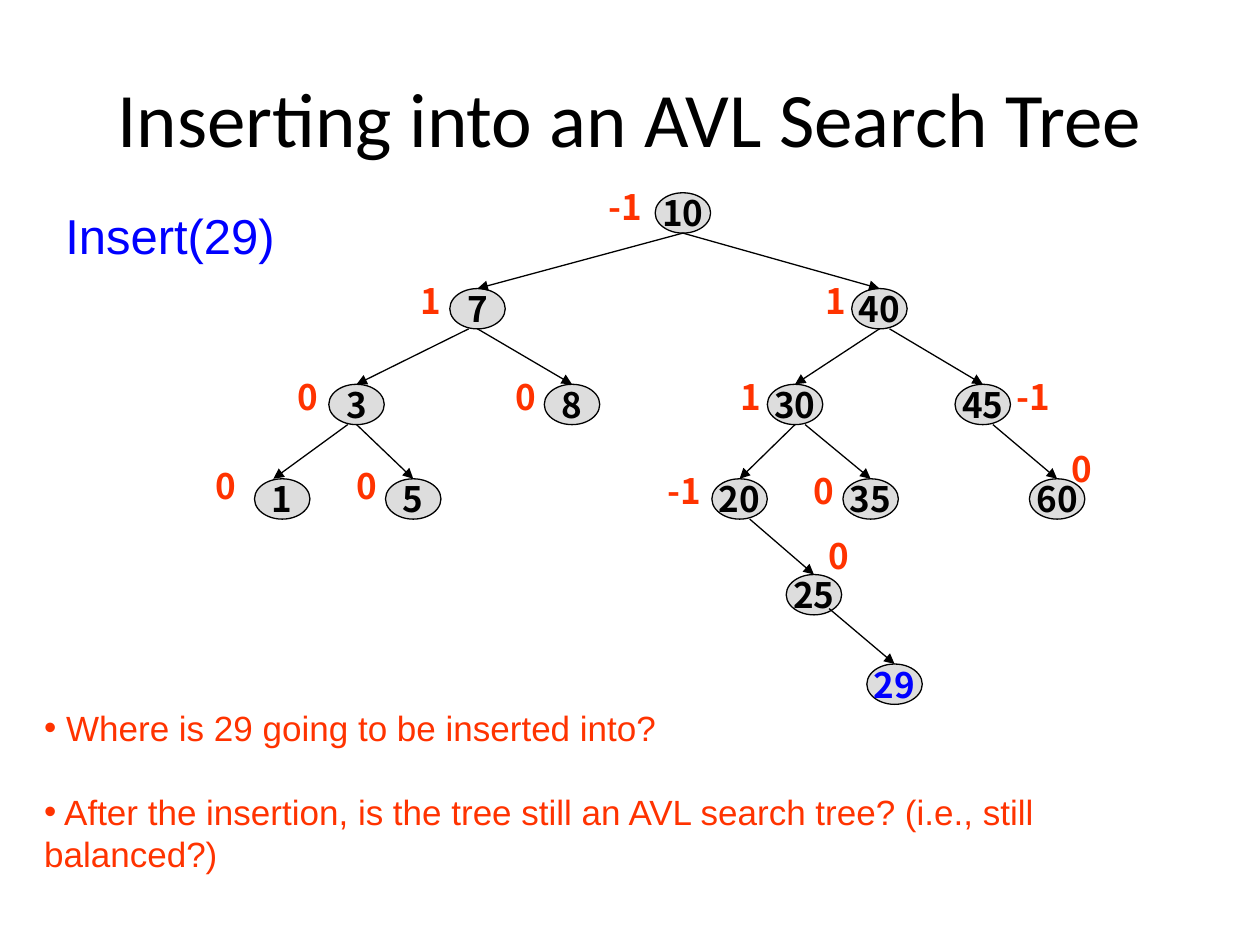
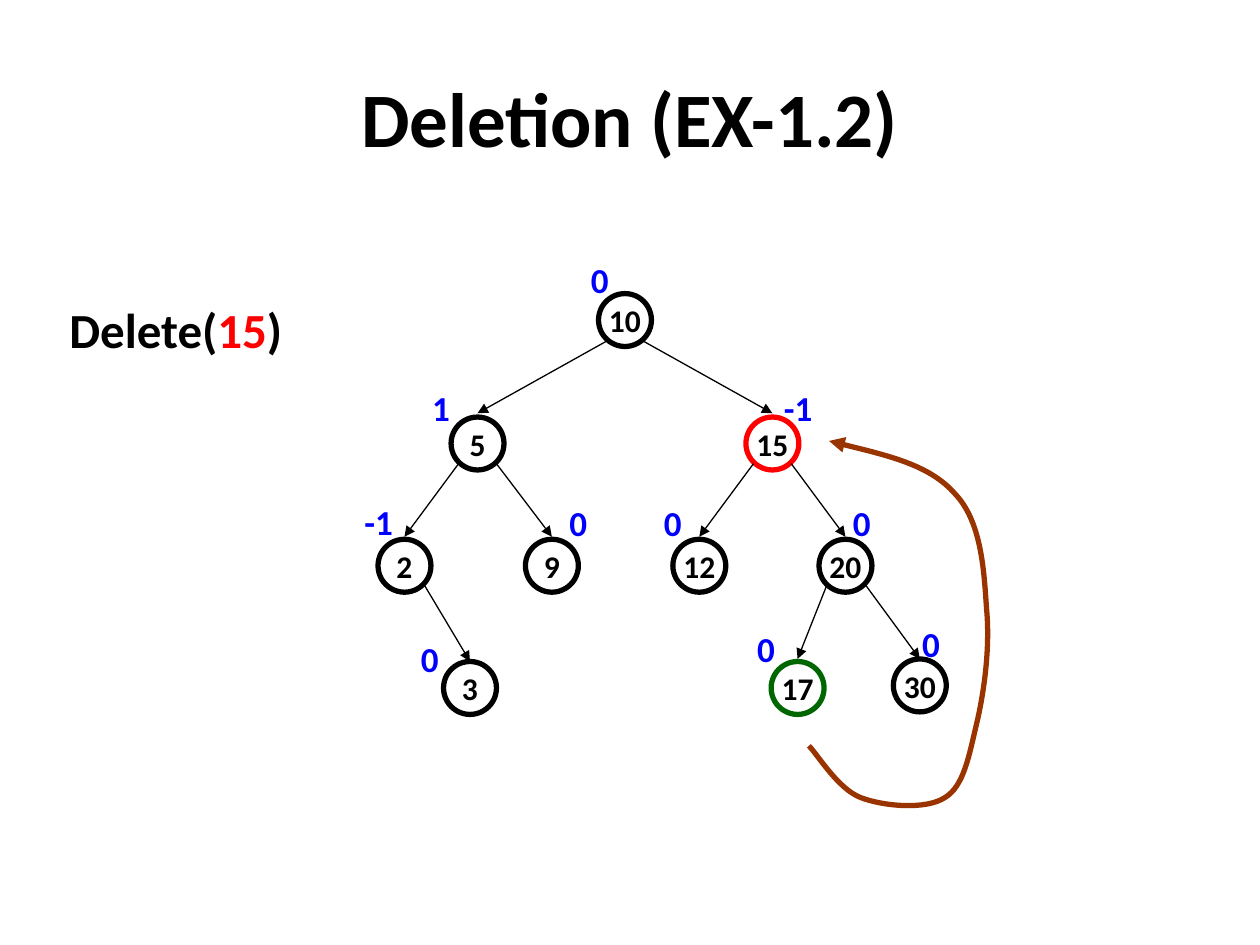
from dataclasses import dataclass
from lxml.etree import SubElement
from pptx import Presentation
from pptx.dml.color import RGBColor
from pptx.enum.shapes import MSO_CONNECTOR, MSO_SHAPE
from pptx.enum.text import MSO_ANCHOR, MSO_AUTO_SIZE, PP_ALIGN
from pptx.oxml.ns import qn
from pptx.util import Pt

PIXEL = 9144
BLACK, BLUE, RED = "000000", "0000FF", "FF0000"
ORANGE, GREEN, BROWN, GRAY = "FF3300", "006600", "993300", "DDDDDD"


@dataclass
class TreeStyle:
    font: str
    node_size: int
    node_width: int
    node_height: int
    node_fill: str
    node_line: float
    balance_color: str
    balance_align: PP_ALIGN
    balance_widths: tuple
    balance_height: int


INSERT_TREE = TreeStyle("Noto Sans CJK KR", 20, 44, 32, GRAY, 0.75,
                        ORANGE, PP_ALIGN.LEFT, (36, 53), 43)
DELETE_TREE = TreeStyle("Calibri", 18, 42, 42, "", 3,
                        BLUE, PP_ALIGN.CENTER, (34, 43), 44)

# label, left, top, balance factor, its left and top
INSERT_NODES = [
    ("10", 520, 153, "-1", 473, 142),
    ("7", 357, 229, "1", 324, 217),
    ("40", 676, 229, "1", 645, 217),
    ("3", 261, 305, "0", 226, 293),
    ("8", 432, 305, "0", 399, 293),
    ("30", 609, 305, "1", 578, 293),
    ("45", 758, 305, "-1", 797, 293),
    ("1", 202, 380, "0", 161, 364),
    ("5", 306, 380, "0", 273, 364),
    ("20", 565, 380, "-1", 520, 368),
    ("35", 669, 380, "0", 636, 368),
    ("60", 817, 380, "0", 841, 350),
    ("25", 624, 456, "0", 648, 419),
    ("29", 688, 527, "", 0, 0),
]
# parent, child, start offset from bottom centre, tip offset from top centre
INSERT_EDGES = [
    ("10", "7", (0, 0), (0, 0)),
    ("10", "40", (0, 0), (0, 0)),
    ("7", "3", (-7, 0), (0, 0)),
    ("7", "8", (0, 0), (0, 0)),
    ("40", "30", (0, 0), (0, 0)),
    ("40", "45", (8, 0), (0, 0)),
    ("3", "1", (-7, 0), (-7, 0)),
    ("3", "5", (0, 0), (0, 0)),
    ("30", "20", (0, 0), (0, 0)),
    ("30", "35", (8, 0), (0, 0)),
    ("45", "60", (8, 0), (0, 0)),
    ("20", "25", (8, 0), (0, 0)),
    ("25", "29", (12, -5), (0, 0)),
]
DELETE_NODES = [
    ("10", 475, 233, "0", 459, 200),
    ("5", 358, 331, "1", 333, 302),
    ("15", 592, 331, "-1", 612, 302),
    ("2", 300, 428, "-1", 279, 392),
    ("9", 417, 428, "0", 442, 393),
    ("12", 534, 428, "0", 517, 393),
    ("20", 650, 428, "0", 667, 393),
    ("3", 352, 525, "0", 324, 501),
    ("17", 612, 525, "0", 591, 493),
    ("30", 709, 523, "0", 722, 489),
]
DELETE_EDGES = [
    ("10", "5", (-15, -4), (0, -3)),
    ("10", "15", (15, -4), (0, -3)),
    ("5", "2", (-15, -5), (0, -2)),
    ("5", "9", (15, -5), (0, -2)),
    ("15", "12", (-15, -5), (0, -2)),
    ("15", "20", (15, -5), (0, -2)),
    ("2", "3", (15, -7), (0, 0)),
    ("20", "17", (-15, -5), (0, -2)),
    ("20", "30", (15, -7), (0, 0)),
]
REPLACEMENT_CURVE = [
    (658, 350), (698, 360), (738, 369), (758, 392),
    (779, 414), (781, 453), (783, 483),
    (786, 514), (781, 550), (775, 575),
    (769, 600), (765, 624), (750, 633),
    (735, 643), (701, 640), (683, 633),
    (665, 626), (649, 599), (642, 592),
]


def color(value):
    return RGBColor.from_string(value)


def scaled(*lengths):
    return [length * PIXEL for length in lengths]


def write(para, text, font="Calibri", size=20, tint=BLACK, bold=False):
    span = para.add_run()
    span.text = text
    span.font.name = font
    span.font.size = Pt(size)
    span.font.bold = bold
    span.font.color.rgb = color(tint)


def draw_line(line, tint, width, arrow=None):
    line.color.rgb = color(tint)
    line.width = Pt(width)
    if arrow:
        SubElement(line._get_or_add_ln(), qn(f"a:{arrow}"), type="triangle")


class TreePages:
    def __init__(self, deck):
        self.deck = deck
        self.page = None
        self.style = None

    def start(self, layout, title, style, bold=False):
        self.page = self.deck.slides.add_slide(self.deck.slide_layouts[layout])
        self.style = style
        box = self.page.shapes.title
        box.left, box.top, box.width, box.height = scaled(50, 30, 900, 125)
        write(box.text_frame.paragraphs[0], title, size=44, bold=bold)

    def label(self, left, top, width, height, spans, align=PP_ALIGN.LEFT, **form):
        box = self.page.shapes.add_textbox(*scaled(left, top, width, height))
        frame = box.text_frame
        frame.word_wrap = False
        frame.auto_size = MSO_AUTO_SIZE.SHAPE_TO_FIT_TEXT
        para = frame.paragraphs[0]
        para.alignment = align
        for text, tint in spans:
            write(para, text, tint=tint, **form)

    def bullets(self, left, top, width, height, texts, gap, **form):
        box = self.page.placeholders[1]
        box.left, box.top, box.width, box.height = scaled(left, top, width, height)
        frame = box.text_frame
        frame.auto_size = MSO_AUTO_SIZE.NONE
        for index, text in enumerate(texts):
            para = frame.add_paragraph() if index else frame.paragraphs[0]
            properties = para._p.get_or_add_pPr()
            properties.set("marL", "0")
            properties.set("indent", "0")
            SubElement(properties, qn("a:buChar"), char="•")
            para.space_before = Pt(gap if index else 0)
            para.line_spacing = Pt(gap)
            write(para, text, **form)

    def node(self, text, left, top, tint, outline):
        style = self.style
        oval = self.page.shapes.add_shape(
            MSO_SHAPE.OVAL, *scaled(left, top, style.node_width, style.node_height))
        oval.shadow.inherit = False
        if style.node_fill:
            oval.fill.solid()
            oval.fill.fore_color.rgb = color(style.node_fill)
        else:
            oval.fill.background()
        draw_line(oval.line, outline, style.node_line)
        frame = oval.text_frame
        frame.word_wrap = False
        frame.vertical_anchor = MSO_ANCHOR.MIDDLE
        para = frame.paragraphs[0]
        para.alignment = PP_ALIGN.CENTER
        write(para, text, style.font, style.node_size, tint, True)
        return oval

    def edge(self, parent, child, start, tip):
        start_x, start_y, tip_x, tip_y = scaled(*start, *tip)
        arrow = self.page.shapes.add_connector(
            MSO_CONNECTOR.STRAIGHT,
            parent.left + parent.width // 2 + start_x,
            parent.top + parent.height + start_y,
            child.left + child.width // 2 + tip_x,
            child.top + tip_y)
        if tip == (0, 0):
            arrow.end_connect(child, 0)
        draw_line(arrow.line, BLACK, 0.75, "tailEnd")
        SubElement(arrow._element.spPr, qn("a:effectLst"))

    def tree(self, nodes, edges, text_colors, outlines):
        style = self.style
        ovals = {}
        for text, left, top, balance, balance_left, balance_top in nodes:
            ovals[text] = self.node(text, left, top, text_colors.get(text, BLACK),
                                    outlines.get(text, BLACK))
            if balance:
                self.label(balance_left, balance_top,
                           style.balance_widths[len(balance) - 1],
                           style.balance_height,
                           [(balance, style.balance_color)],
                           style.balance_align, font=style.font, bold=True)
        for parent, child, start, tip in edges:
            self.edge(ovals[parent], ovals[child], start, tip)

    def curve(self, points, tint, width):
        builder = self.page.shapes.build_freeform(*points[0], scale=PIXEL)
        builder.add_line_segments(points[1:], close=False)
        shape = builder.convert_to_shape()
        shape.shadow.inherit = False
        shape.fill.background()
        draw_line(shape.line, tint, width, "headEnd")
        outline = shape._element.find(".//" + qn("a:path"))
        segments = outline.findall(qn("a:lnTo"))
        for first in range(0, len(segments), 3):
            bend = SubElement(outline, qn("a:cubicBezTo"))
            for segment in segments[first:first + 3]:
                bend.append(segment[0])
                outline.remove(segment)


def main():
    deck = Presentation()
    deck.slide_width, deck.slide_height = scaled(1000, 750)
    pages = TreePages(deck)

    pages.start(1, "Inserting into an AVL Search Tree", INSERT_TREE)
    pages.label(42, 158, 187, 57, [("Insert(29)", BLUE)], font="Arial", size=28)
    pages.tree(INSERT_NODES, INSERT_EDGES, {"29": BLUE}, {})
    pages.bullets(25, 556, 909, 145, [
        " Where is 29 going to be inserted into?",
        " After the insertion, is the tree still an AVL search tree? "
        "(i.e., still balanced?)",
    ], gap=24, font="Arial", tint=ORANGE)

    pages.start(5, "Deletion (EX-1.2)", DELETE_TREE, bold=True)
    pages.label(44, 233, 191, 57, [("Delete(", BLACK), ("15", RED), (")", BLACK)],
                PP_ALIGN.CENTER, size=28, bold=True)
    pages.tree(DELETE_NODES, DELETE_EDGES, {}, {"15": RED, "17": GREEN})
    pages.curve(REPLACEMENT_CURVE, BROWN, 3)

    deck.save("out.pptx")


if __name__ == "__main__":
    main()
